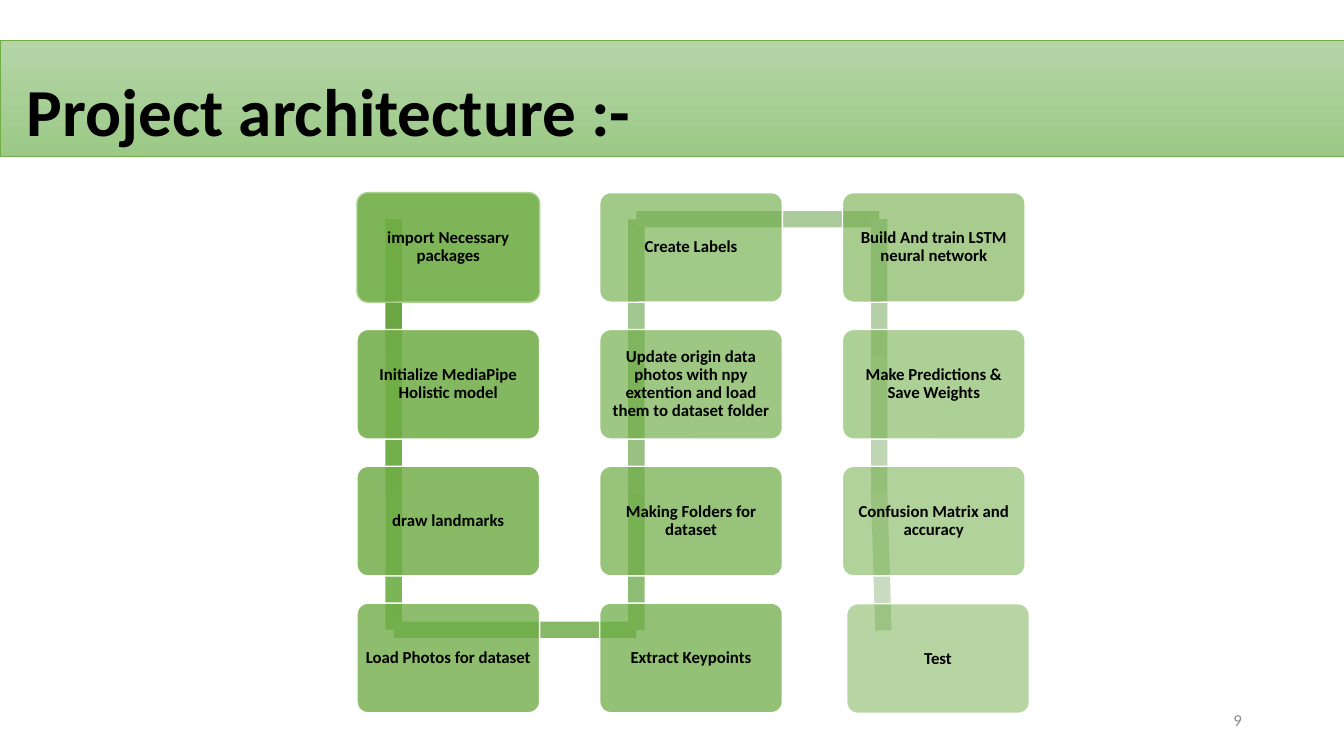
from math import atan2, degrees, hypot

from lxml.etree import SubElement
from pptx import Presentation
from pptx.dml.color import RGBColor
from pptx.enum.shapes import MSO_SHAPE
from pptx.enum.text import MSO_ANCHOR, PP_ALIGN
from pptx.oxml.ns import qn
from pptx.util import Pt


def hue(code):
    return RGBColor.from_string(code)


def write(shape, text, form, color, align, pads):
    frame = shape.text_frame
    frame.word_wrap = True
    frame.vertical_anchor = MSO_ANCHOR.MIDDLE
    sides = ("left", "top", "right", "bottom")
    for side, pad in zip(sides, pads):
        setattr(frame, "margin_" + side, Pt(pad))
    para = frame.paragraphs[0]
    para.alignment = align
    para.line_spacing = 0.9
    run = para.add_run()
    run.text = text
    for key, value in form.items():
        setattr(run.font, key, value)
    run.font.color.rgb = hue(color)


HEAD = {"name": "Calibri", "size": Pt(48), "bold": True}
STEP = {"name": "Calibri", "size": Pt(12), "bold": True}
PAGE = {"name": "Calibri", "size": Pt(12), "bold": False}

deck = Presentation()
deck.slide_width, deck.slide_height = Pt(960), Pt(540)
slide = deck.slides.add_slide(deck.slide_layouts[6])
shapes = slide.shapes

# Title band
band = shapes.add_shape(MSO_SHAPE.RECTANGLE, 0, Pt(28.8), Pt(960), Pt(82.8))
band.shadow.inherit = False
band.fill.gradient()
band.fill.gradient_angle = 270
for stop, code in zip(band.fill.gradient_stops, ("B5D5A7", "9CC987")):
    stop.color.rgb = hue(code)
band.line.color.rgb = hue("70AD47")
band.line.width = Pt(0.5)
write(band, "Project architecture :-", HEAD, "000000", PP_ALIGN.LEFT,
      (19, 26.3, 7.2, 3.6))

# Page number
page = shapes.add_textbox(Pt(678.2), Pt(500.4), Pt(216), Pt(28.8))
write(page, "9", PAGE, "8C8C8C", PP_ALIGN.RIGHT, (7.2, 3.6, 7.2, 3.6))

# Steps in flow order: down, up, down
steps = [
    "import Necessary packages",
    "Initialize MediaPipe Holistic model",
    "draw landmarks",
    "Load Photos for dataset",
    "Extract Keypoints",
    "Making Folders for dataset",
    "Update origin data photos with npy extention and load them "
    "to dataset folder",
    "Create Labels",
    "Build And train LSTM neural network",
    "Make Predictions & Save Weights",
    "Confusion Matrix and accuracy",
    "Test",
]
bars = ["6BA544", "73B04B", "7BB558", "85B966", "8EBD74", "98C181",
        "A1C68F", "ABCB9C", "B5D0A9", "BFD6B5", "C9DBC1"]
ROWS, WIDE, HIGH, THICK = 4, 130.5, 78.3, 11.7
last = len(steps) - 1

spots = []
for i in range(len(steps)):
    col, row = divmod(i, ROWS)
    if col % 2:
        row = ROWS - 1 - row
    spots.append((255 + 173.4 * col, 137.6 + 97.75 * row))
spots[last] = (604.8, 431.3)

for i, (text, (left, top)) in enumerate(zip(steps, spots)):
    # Bar to the next step
    if i < last:
        dx, dy = spots[i + 1][0] - left, spots[i + 1][1] - top
        span = hypot(dx, dy)
        midx, midy = left + 26.2 + dx / 2, top + 19 + dy / 2
        bar = shapes.add_shape(MSO_SHAPE.RECTANGLE, Pt(midx - span / 2),
                               Pt(midy - THICK / 2), Pt(span), Pt(THICK))
        bar.rotation = degrees(atan2(dy, dx))
        bar.shadow.inherit = False
        bar.fill.solid()
        bar.fill.fore_color.rgb = hue(bars[i])
        bar.line.fill.background()

    # Step box, fading from 90 % to 50 % opacity
    box = shapes.add_shape(MSO_SHAPE.ROUNDED_RECTANGLE, Pt(left), Pt(top),
                           Pt(WIDE), Pt(HIGH))
    box.adjustments[0] = 0.1
    box.shadow.inherit = False
    box.fill.solid()
    box.fill.fore_color.rgb = hue("70AD47")
    tint = box.fill._xPr.find(qn("a:solidFill"))[0]
    alpha = round(90 - 40 * i / last) * 1000
    SubElement(tint, qn("a:alpha")).set("val", str(alpha))
    box.line.color.rgb = hue("FFFFFF" if i else "A9D18E")
    box.line.width = Pt(1)
    write(box, text, STEP, "000000", PP_ALIGN.CENTER, (3.6,) * 4)

deck.save("out.pptx")
